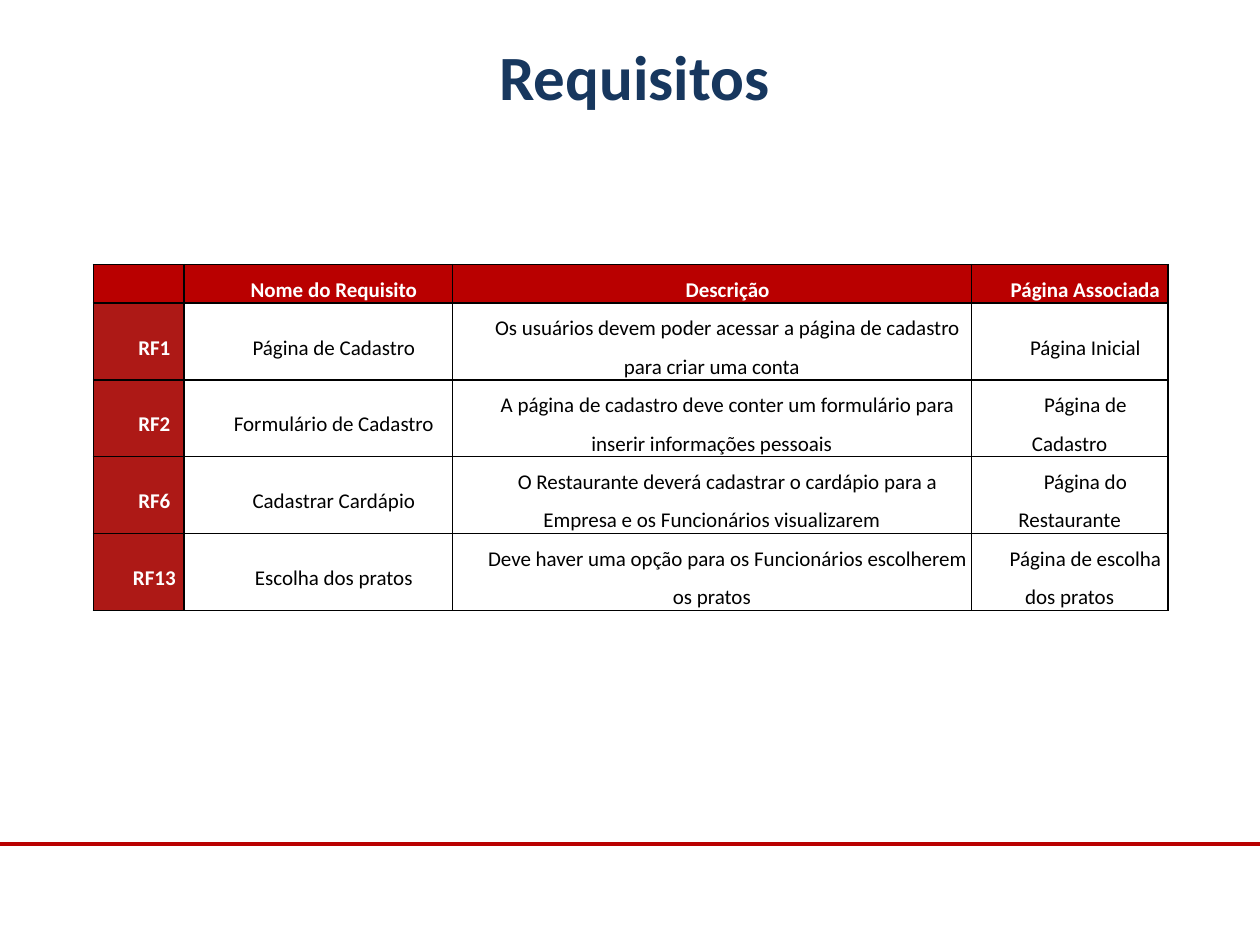
from lxml import etree
from pptx import Presentation
from pptx import util as u
from pptx.dml.color import RGBColor
from pptx.enum import shapes, text
from pptx.oxml import ns

RED, DARK_RED, NAVY = "B90000", "AD1916", "17375E"
WHITE, BLACK = "FFFFFF", "000000"

HEADINGS = ["", "Nome do Requisito", "Descrição", "Página Associada"]
REQUIREMENTS = [
    ["RF1", "Página de Cadastro",
     "Os usuários devem poder acessar a página de cadastro para criar uma conta",
     "Página Inicial"],
    ["RF2", "Formulário de Cadastro",
     "A página de cadastro deve conter um formulário para inserir informações pessoais",
     "Página de Cadastro"],
    ["RF6", "Cadastrar Cardápio",
     "O Restaurante deverá cadastrar o cardápio para a Empresa e os Funcionários visualizarem",
     "Página do Restaurante"],
    ["RF13", "Escolha dos pratos",
     "Deve haver uma opção para os Funcionários escolherem os pratos",
     "Página de escolha dos pratos"],
]
COLUMN_WIDTHS = [0.72, 2.13, 4.12, 1.56]
ROW_HEIGHTS = [0.3] + [0.61] * len(REQUIREMENTS)


def color(hex_code):
    return RGBColor.from_string(hex_code)


class Deck:
    font = "Calibri"

    def __init__(self, width, height):
        self.prs = Presentation()
        self.prs.slide_width, self.prs.slide_height = u.Inches(width), u.Inches(height)
        self.slide = self.prs.slides.add_slide(self.prs.slide_layouts[5])

    def x(self, share):
        return round(self.prs.slide_width * share)

    def y(self, share):
        return round(self.prs.slide_height * share)

    def style(self, paragraph, size, ink, bold):
        paragraph.alignment = text.PP_ALIGN.CENTER
        font = paragraph.font
        font.name, font.size, font.bold = self.font, u.Pt(size), bold
        font.color.rgb = color(ink)

    def title(self, words, left, top, width, height):
        title = self.slide.shapes.title
        title.left, title.top = self.x(left), self.y(top)
        title.width, title.height = self.x(width), self.y(height)
        title.text_frame.text = words
        title.text_frame.vertical_anchor = text.MSO_ANCHOR.MIDDLE
        self.style(title.text_frame.paragraphs[0], 36, NAVY, True)

    def rule(self, height, ink, weight):
        rule = self.slide.shapes.add_connector(
            shapes.MSO_CONNECTOR.STRAIGHT, 0, self.y(height), self.x(1), self.y(height))
        rule.line.color.rgb, rule.line.width = color(ink), u.Pt(weight)
        etree.SubElement(rule._element.spPr, ns.qn("a:effectLst"))

    def borders(self, cell, ink, weight):
        props = cell._tc.get_or_add_tcPr()
        for side in ("lnL", "lnR", "lnT", "lnB"):
            line = etree.SubElement(props, ns.qn(f"a:{side}"), w=str(u.Pt(weight)))
            fill = etree.SubElement(line, ns.qn("a:solidFill"))
            etree.SubElement(fill, ns.qn("a:srgbClr"), val=ink)

    def cell(self, cell, words, fill):
        cell.text = words
        cell.vertical_anchor = text.MSO_ANCHOR.MIDDLE
        cell.margin_left = cell.margin_right = u.Inches(0.03)
        cell.margin_top = cell.margin_bottom = 0
        self.borders(cell, BLACK, 1)
        if fill:
            cell.fill.solid()
            cell.fill.fore_color.rgb = color(fill)
        else:
            cell.fill.background()
        paragraph = cell.text_frame.paragraphs[0]
        self.style(paragraph, 12, WHITE if fill else BLACK, bool(fill))
        if words:
            paragraph.line_spacing = 1.5
            paragraph.space_before, paragraph.space_after = u.Pt(6), u.Pt(8)
            paragraph._p.get_or_add_pPr().set("indent", str(u.Inches(0.25)))
        else:
            # An empty cell takes its height from the end mark
            etree.SubElement(paragraph._p, ns.qn("a:endParaRPr"), sz="1200")

    def table(self, rows, left, top, widths, heights):
        table = self.slide.shapes.add_table(
            len(rows), len(widths), self.x(left), self.y(top),
            u.Inches(sum(widths)), u.Inches(sum(heights))).table
        for column, width in zip(table.columns, widths):
            column.width = u.Inches(width)
        for row, height in zip(table.rows, heights):
            row.height = u.Inches(height)
        for r, row in enumerate(rows):
            for c, words in enumerate(row):
                fill = RED if r == 0 else DARK_RED if c == 0 else None
                self.cell(table.cell(r, c), words, fill)


def main():
    deck = Deck(10, 7.5)
    # Footer rule
    deck.rule(0.893, RED, 2.25)
    # Heading
    deck.title("Requisitos", 0.035, 0.028, 0.937, 0.103)
    # Requirements table
    deck.table([HEADINGS] + REQUIREMENTS, 0.074, 0.28, COLUMN_WIDTHS, ROW_HEIGHTS)
    deck.prs.save("out.pptx")


if __name__ == "__main__":
    main()
